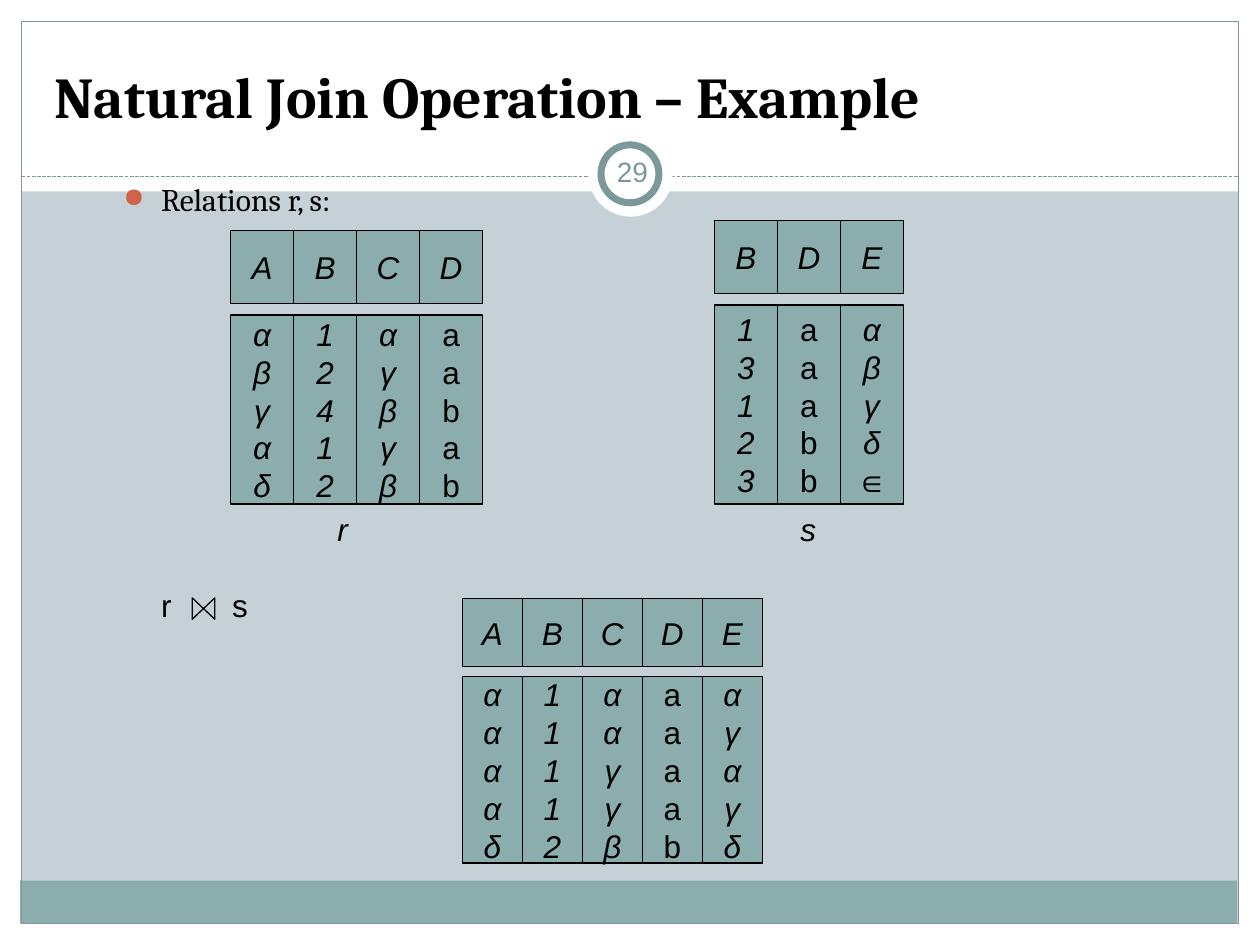
"""Build the slide that shows a natural join of two relations."""
from dataclasses import dataclass
from typing import Any, Optional

from lxml import etree
from pptx import Presentation
from pptx import util as u
from pptx.dml.color import RGBColor
from pptx.enum import dml, shapes, text
from pptx.oxml import ns


@dataclass(frozen=True)
class Theme:
    ground: str = "C5D1D7"
    paper: str = "FFFFFF"
    teal: str = "8CADAE"
    frame: str = "7C999A"
    number: str = "7B9899"
    ink: str = "000000"
    bullet: str = "D16349"
    heading_font: str = "Cambria"
    body_font: str = "Arial"
    title_size: int = 33
    body_size: int = 18
    number_size: int = 16
    hairline: float = 0.75
    ring: float = 4


@dataclass(frozen=True)
class Area:
    left: float
    top: float
    width: float
    height: float

    def lengths(self) -> list:
        return [u.Inches(v) for v in (self.left, self.top, self.width, self.height)]


@dataclass(frozen=True)
class Panel:
    area: Area
    fill: Optional[str] = None
    line: Optional[str] = None
    weight: float = 0.75
    kind: Any = shapes.MSO_SHAPE.RECTANGLE


@dataclass(frozen=True)
class Relation:
    head: Area
    body_top: float
    body_height: float
    columns: dict


@dataclass(frozen=True)
class Label:
    area: Area
    wording: str
    style: dict
    frame: dict


THEME = Theme()
CENTER = text.PP_ALIGN.CENTER
LEFT = text.PP_ALIGN.LEFT
MIDDLE = text.MSO_ANCHOR.MIDDLE
OVAL = shapes.MSO_SHAPE.OVAL
PLAIN = {"name": THEME.body_font, "size": u.Pt(THEME.body_size), "color": THEME.ink}
ITALIC = PLAIN | {"italic": True}
HEADING = PLAIN | {"name": THEME.heading_font}
TITLE = HEADING | {"size": u.Pt(THEME.title_size), "bold": True}
NUMBER = PLAIN | {"size": u.Pt(THEME.number_size), "color": THEME.number}
UNWRAPPED = {"word_wrap": False, "vertical_anchor": MIDDLE}
WRAPPED = {"word_wrap": True}
SMALL_MARGINS = {f"margin_{side}": u.Inches(0.05) for side in ("left", "top", "right", "bottom")}

BACKDROP = [
    Panel(Area(0, 7.33, 10, 0.17), THEME.paper),
    Panel(Area(0, 0, 10, 1.52), THEME.paper),
    Panel(Area(0, 0, 0.17, 7.5), THEME.paper),
    Panel(Area(9.83, 0, 0.17, 7.5), THEME.paper),
    Panel(Area(0.16, 6.99, 9.66, 0.34), THEME.teal),
    Panel(Area(0.17, 0.17, 9.66, 7.16), line=THEME.frame),
]
BADGE = [
    Panel(Area(4.67, 1.05, 0.67, 0.67), THEME.paper, kind=OVAL),
    Panel(Area(4.77, 1.15, 0.46, 0.46), THEME.paper, THEME.frame, THEME.ring, OVAL),
]
RELATIONS = [
    Relation(Area(1.83, 1.83, 2, 0.58), 2.5, 1.5,
             {"A": "αβγαδ", "B": "12412", "C": "αγβγβ", "D": "aabab"}),
    Relation(Area(5.67, 1.75, 1.5, 0.58), 2.42, 1.58,
             {"B": "13123", "D": "aaabb", "E": "αβγδ∈"}),
    Relation(Area(3.67, 4.75, 2.38, 0.54), 5.37, 1.48,
             {"A": "ααααδ", "B": "11112", "C": "ααγγβ", "D": "aaaab", "E": "αγαγδ"}),
]
LABELS = [
    Label(Area(2.58, 4, 0.28, 0.4), "r", ITALIC, UNWRAPPED),
    Label(Area(6.25, 4, 0.33, 0.4), "s", ITALIC, UNWRAPPED),
    Label(Area(4.77, 1.12, 0.5, 0.48), "29", NUMBER,
          WRAPPED | SMALL_MARGINS | {"vertical_anchor": MIDDLE}),
]


def write(box: Any, lines: Any, style: dict, frame: dict, align: Any = CENTER) -> None:
    """Fill a box with one formatted paragraph for each line."""
    for name, value in frame.items():
        setattr(box.text_frame, name, value)
    for index, line in enumerate(lines):
        para = box.text_frame.add_paragraph() if index else box.text_frame.paragraphs[0]
        para.alignment = align
        span = para.add_run()
        span.text = line
        for name, value in style.items():
            if name == "color":
                span.font.color.rgb = RGBColor.from_string(value)
            else:
                setattr(span.font, name, value)


def draw_panel(page: Any, panel: Panel) -> Any:
    """Draw a preset shape with its fill and outline."""
    box = page.shapes.add_shape(panel.kind, *panel.area.lengths())
    box.shadow.inherit = False
    for paint, color in ((box.fill, panel.fill), (box.line.fill, panel.line)):
        if color:
            paint.solid()
            paint.fore_color.rgb = RGBColor.from_string(color)
        else:
            paint.background()
    if panel.line:
        box.line.width = u.Pt(panel.weight)
    return box


def draw_divider(page: Any) -> None:
    """Draw the dashed line under the title."""
    y = u.Inches(1.4)
    line = page.shapes.add_connector(
        shapes.MSO_CONNECTOR.STRAIGHT, u.Inches(0.17), y, u.Inches(9.83), y)
    line.line.color.rgb = RGBColor.from_string(THEME.frame)
    line.line.width = u.Pt(THEME.hairline)
    line.line.dash_style = dml.MSO_LINE.SQUARE_DOT
    etree.SubElement(line.element.spPr, ns.qn("a:effectLst"))


def draw_relation(page: Any, relation: Relation) -> None:
    """Draw the header and value cells of a relation, column by column."""
    head = relation.head
    width = head.width / len(relation.columns)
    for index, (name, values) in enumerate(relation.columns.items()):
        left = head.left + index * width
        cells = [
            (Area(left, head.top, width, head.height), name, ITALIC),
            (Area(left, relation.body_top, width, relation.body_height), values,
             PLAIN if name == "D" else ITALIC),
        ]
        for area, lines, style in cells:
            box = draw_panel(page, Panel(area, THEME.teal, THEME.ink))
            write(box, lines, style, UNWRAPPED)


def draw_label(page: Any, label: Label, align: Any = CENTER) -> Any:
    """Draw a text box and return its paragraph properties."""
    box = page.shapes.add_textbox(*label.area.lengths())
    write(box, [label.wording], label.style, label.frame, align)
    return box.text_frame.paragraphs[0]._p.get_or_add_pPr()


def draw_title(page: Any) -> None:
    """Place the title above the backdrop."""
    title = page.shapes.title
    page.shapes.element.append(title.element)
    title.left, title.top, title.width, title.height = Area(0.33, 0.25, 9.33, 0.83).lengths()
    write(title, ["Natural Join Operation – Example"], TITLE,
          WRAPPED | {"vertical_anchor": text.MSO_ANCHOR.BOTTOM}, LEFT)


def draw_caption(page: Any) -> None:
    """Draw the bulleted line that introduces the relations."""
    label = Label(Area(0.88, 1.38, 7.48, 0.42), "Relations r, s:", HEADING, WRAPPED)
    props = draw_label(page, label, LEFT)
    props.set("marL", str(u.Inches(0.3)))
    props.set("indent", str(-u.Inches(0.3)))
    color = etree.SubElement(props, ns.qn("a:buClr"))
    etree.SubElement(color, ns.qn("a:srgbClr"), val=THEME.bullet)
    etree.SubElement(props, ns.qn("a:buSzPct"), val="85000")
    etree.SubElement(props, ns.qn("a:buChar"), char="●")


def draw_join(page: Any) -> None:
    """Draw the join expression with its bow-tie operator."""
    bow_tie = draw_panel(page, Panel(Area(1.53, 4.74, 0.17, 0.18), line=THEME.ink,
                                     kind=shapes.MSO_SHAPE.FLOWCHART_COLLATE))
    bow_tie.rotation = 270
    label = Label(Area(0.79, 4.6, 1.54, 0.4), "r\ts", PLAIN, WRAPPED)
    props = draw_label(page, label, LEFT)
    props.set("marL", str(u.Inches(0.39)))
    stops = etree.SubElement(props, ns.qn("a:tabLst"))
    etree.SubElement(stops, ns.qn("a:tab"), pos=str(u.Inches(0.89)), algn="l")


def main() -> None:
    """Build and save the deck."""
    deck = Presentation()
    deck.slide_width, deck.slide_height = u.Inches(10), u.Inches(7.5)
    page = deck.slides.add_slide(deck.slide_layouts[5])
    page.background.fill.solid()
    page.background.fill.fore_color.rgb = RGBColor.from_string(THEME.ground)
    for panel in BACKDROP:
        draw_panel(page, panel)
    draw_divider(page)
    for panel in BADGE:
        draw_panel(page, panel)
    draw_title(page)
    draw_caption(page)
    for relation in RELATIONS:
        draw_relation(page, relation)
    for label in LABELS:
        draw_label(page, label)
    draw_join(page)
    deck.save("out.pptx")


if __name__ == "__main__":
    main()
